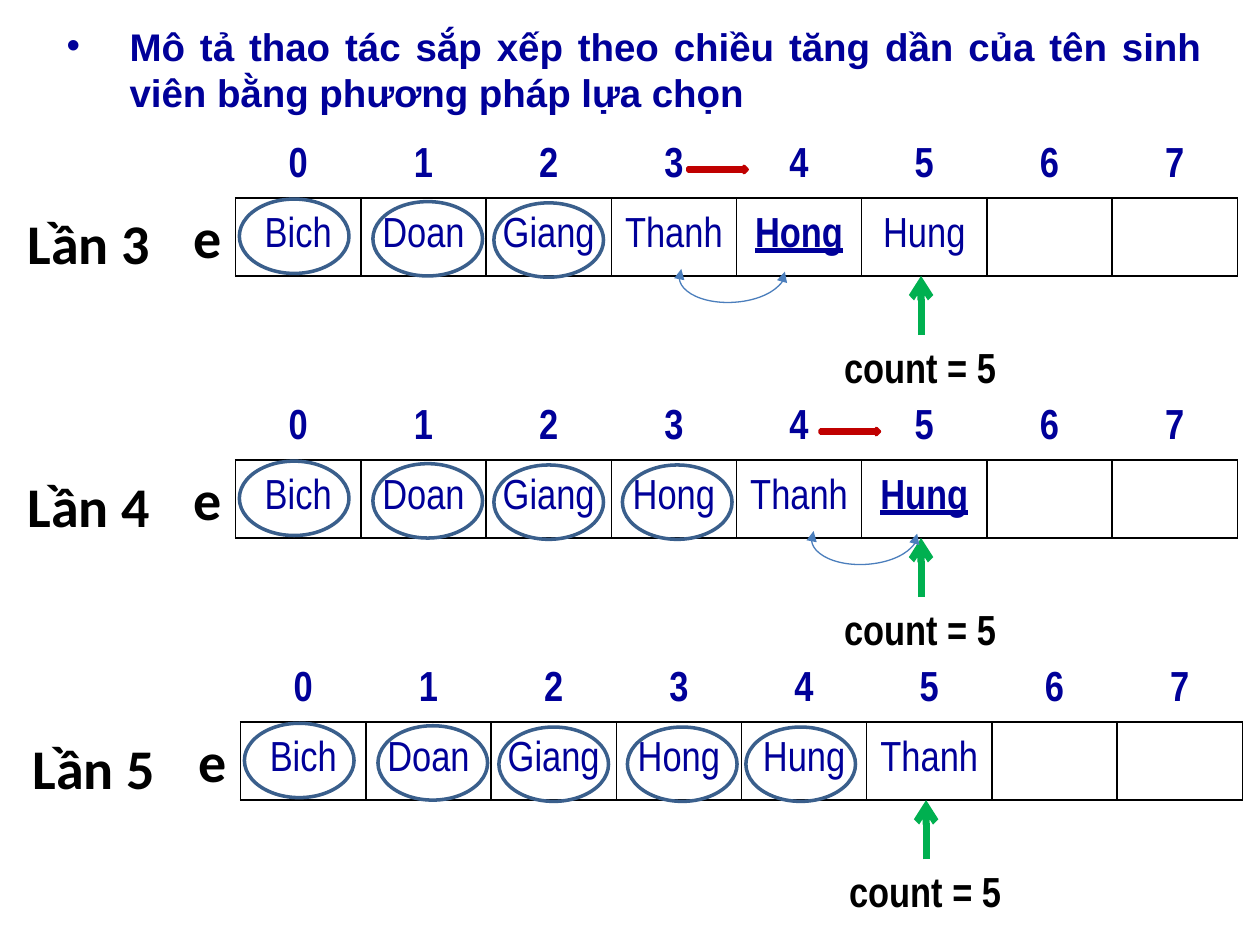
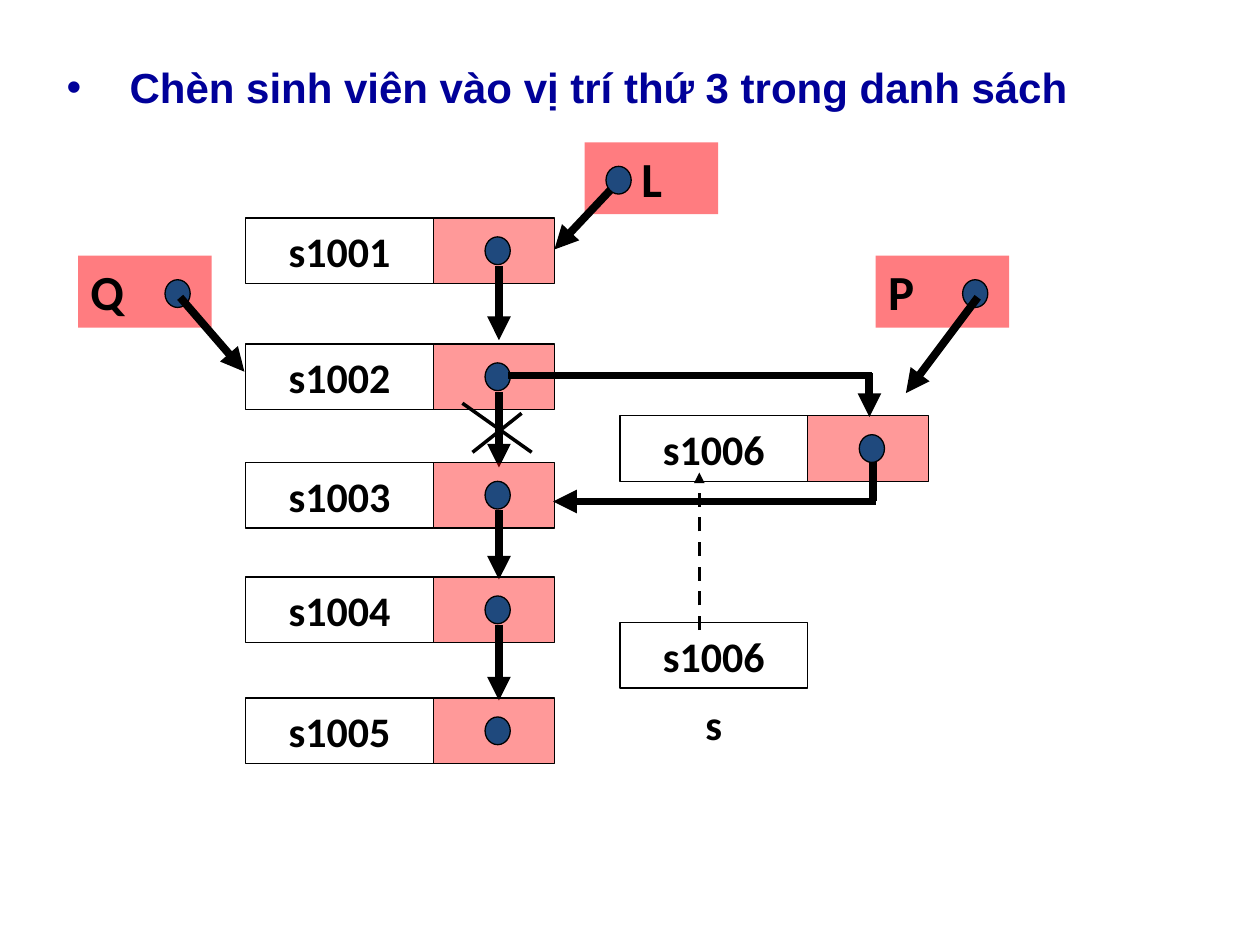
from lxml.etree import SubElement
from pptx import Presentation
from pptx.dml.color import RGBColor
from pptx.enum.dml import MSO_LINE
from pptx.enum.shapes import MSO_CONNECTOR, MSO_SHAPE
from pptx.enum.text import MSO_ANCHOR, PP_ALIGN
from pptx.oxml.ns import qn
from pptx.util import Inches, Pt

BLACK = RGBColor(0x00, 0x00, 0x00)
WHITE = RGBColor(0xFF, 0xFF, 0xFF)
NAVY = RGBColor(0x00, 0x00, 0x99)
GREEN = RGBColor(0x00, 0xB0, 0x50)
CRIMSON = RGBColor(0xC0, 0x00, 0x00)
RED = RGBColor(0xFF, 0x00, 0x00)
PINK = RGBColor(0xFF, 0x7C, 0x80)
DOT_BLUE = RGBColor(0x1F, 0x49, 0x7D)
RING_BLUE = RGBColor(0x3A, 0x5F, 0x8C)
SWAP_BLUE = RGBColor(0x4B, 0x7E, 0xBC)

TITLE = {"name": "Arial", "bold": True}
LABEL = {"name": "Calibri", "size": Pt(32), "bold": True}
COUNT = {"name": "Arial Narrow", "size": Pt(24), "bold": True}
NODE = {"name": "Calibri", "size": Pt(24), "bold": True}
POINTER = {"name": "Calibri", "size": Pt(28), "bold": True}

SLOTS = 8
SLOT_WIDTH = 7.95 / SLOTS
ROW_HEIGHTS = (0.47, 0.62)
RING_OFFSETS = ((0.03, 0.51), (1.09, 0.53), (2.05, 0.54), (3.07, 0.54), (4.01, 0.54))
STAGES = (
    ("Lần 3", 1.87, 3, ("Bich", "Doan", "Giang", "Thanh", "Hong", "Hung")),
    ("Lần 4", 1.87, 4, ("Bich", "Doan", "Giang", "Hong", "Thanh", "Hung")),
    ("Lần 5", 1.91, 5, ("Bich", "Doan", "Giang", "Hong", "Hung", "Thanh")),
)
STUDENTS = (("s1001", 1.73, 0.59), ("s1002", 2.73, 0.6), ("s1003", 3.67, 0.55),
            ("s1004", 4.58, 0.6), ("s1005", 5.54, None))


def inches(*lengths):
    """Turn plain numbers into lengths."""
    return [Inches(length) for length in lengths]


def write(para, text, font, color=BLACK, align=PP_ALIGN.LEFT):
    """Put one formatted run into a paragraph."""
    para.alignment = align
    span = para.add_run()
    span.text = text
    for name, value in font.items():
        setattr(span.font, name, value)
    span.font.color.rgb = color


def add_text(page, at, text, font):
    """Add a wrapped text box."""
    box = page.shapes.add_textbox(*inches(*at))
    box.text_frame.word_wrap = True
    write(box.text_frame.paragraphs[0], text, font)


def add_title(page, at, text, size):
    """Add the bulleted heading that both slides carry."""
    box = page.shapes.add_textbox(*inches(*at))
    box.text_frame.word_wrap = True
    para = box.text_frame.paragraphs[0]
    write(para, text, {**TITLE, "size": Pt(size)}, NAVY, PP_ALIGN.JUSTIFY)
    props = para._p.get_or_add_pPr()
    props.set("marL", str(Inches(0.5)))
    props.set("indent", str(-Inches(0.5)))
    SubElement(props, qn("a:buFont"), typeface="Arial")
    SubElement(props, qn("a:buChar"), char="•")


def add_ends(shape, head, tail):
    """Put arrowheads on the ends of an outline."""
    outline = shape._element.spPr.find(qn("a:ln"))
    for tag, kind in (("a:headEnd", head), ("a:tailEnd", tail)):
        if kind:
            SubElement(outline, qn(tag), type=kind)


def add_line(shapes, start, end, width=4.5, color=BLACK, head=None, tail=None, dash=None):
    """Add a straight line with optional arrowheads."""
    line = shapes.add_connector(MSO_CONNECTOR.STRAIGHT, *inches(*start, *end))
    line.line.color.rgb = color
    line.line.width = Pt(width)
    if dash:
        line.line.dash_style = dash
    add_ends(line, head, tail)
    SubElement(line._element.spPr, qn("a:effectLst"))


def add_shape(shapes, kind, at, fill=None, line=None, width=0.75, opacity=None):
    """Add a preset shape without shadow."""
    shape = shapes.add_shape(kind, *inches(*at))
    shape.shadow.inherit = False
    if fill is None:
        shape.fill.background()
    else:
        shape.fill.solid()
        shape.fill.fore_color.rgb = fill
    if opacity:
        color = shape._element.spPr.find(qn("a:solidFill"))[0]
        SubElement(color, qn("a:alpha"), val=str(opacity * 1000))
    if line is None:
        shape.line.fill.background()
    else:
        shape.line.color.rgb = line
        shape.line.width = Pt(width)
    return shape


def add_borders(cell, sides):
    """Draw thin black borders on the given sides of a cell."""
    props = cell._tc.get_or_add_tcPr()
    for side in sides:
        border = SubElement(props, qn(f"a:ln{side}"), w=str(Pt(1)))
        SubElement(SubElement(border, qn("a:solidFill")), qn("a:srgbClr"), val=str(BLACK))


def add_array(page, left, top, names, chosen):
    """Add the array table: a row of indexes over a row of names."""
    frame = page.shapes.add_table(
        2, SLOTS, *inches(left, top, SLOT_WIDTH * SLOTS, sum(ROW_HEIGHTS)))
    table = frame.table
    table.first_row = table.horz_banding = False
    for row, height in zip(table.rows, ROW_HEIGHTS):
        row.height = Inches(height)
    for slot in range(SLOTS):
        table.columns[slot].width = Inches(SLOT_WIDTH)
        name = names[slot] if slot < len(names) else ""
        picked = slot == chosen
        entries = ((str(slot), COUNT, "B"),
                   (name, {**COUNT, "bold": picked, "underline": picked}, "LRTB"))
        for row, (text, font, sides) in enumerate(entries):
            cell = table.cell(row, slot)
            add_borders(cell, sides)
            cell.fill.solid()
            cell.fill.fore_color.rgb = WHITE
            cell.vertical_anchor = MSO_ANCHOR.MIDDLE
            if text:
                write(cell.text_frame.paragraphs[0], text, font, NAVY, PP_ALIGN.CENTER)


def add_swap(page, left, top):
    """Mark two neighbours that change places."""
    add_shape(page.shapes, MSO_SHAPE.RIGHT_ARROW, (left, top + 0.25, 0.47, 0.05),
              CRIMSON, CRIMSON, 2)
    arc = add_shape(page.shapes, MSO_SHAPE.ARC, (left + 0.13, top + 0.69, 0.44, 0.84),
                    line=SWAP_BLUE)
    arc.adjustments[0] = 162
    arc.adjustments[1] = 59.797
    arc.rotation = 86.7
    add_ends(arc, "triangle", "triangle")


def add_stage(page, top, label, left, done, names):
    """Draw one pass of the selection sort."""
    swapping = done + 1 < len(names)
    add_text(page, (left - 1.75, top + 0.54, 1.23, 0.64), label, LABEL)
    add_array(page, left, top, names, done + 1 if swapping else None)
    add_text(page, (left - 0.43, top + 0.49, 0.35, 0.64), "e", LABEL)
    add_text(page, (left + 4.73, top + 1.59, 1.45, 0.5), "count = 5", COUNT)
    add_line(page.shapes, (left + 5.44, top + 1.59), (left + 5.44, top + 1.12),
             4, GREEN, tail="arrow")
    for across, down in RING_OFFSETS[:done]:
        add_shape(page.shapes, MSO_SHAPE.OVAL, (left + across, top + down, 0.87, 0.59),
                  line=RING_BLUE, width=2)
    if swapping:
        add_swap(page, left + 0.44 + 1.05 * done, top)


def add_dot(shapes, left, top):
    """Add the dot where a link starts."""
    add_shape(shapes, MSO_SHAPE.OVAL, (left, top, 0.2, 0.22), DOT_BLUE, BLACK)


def add_data(shapes, left, top, text, line=BLACK):
    """Add the box that holds a student's code."""
    box = add_shape(shapes, MSO_SHAPE.RECTANGLE, (left, top, 1.49, 0.52), WHITE, line,
                    opacity=38)
    box.text_frame.vertical_anchor = MSO_ANCHOR.MIDDLE
    write(box.text_frame.paragraphs[0], text, NODE, align=PP_ALIGN.CENTER)


def add_node(page, left, top, text, link=None):
    """Add a list node, with a link of the given length to the next one."""
    shapes = page.shapes.add_group_shape().shapes
    add_data(shapes, left, top, text)
    add_shape(shapes, MSO_SHAPE.RECTANGLE, (left + 1.49, top, 0.96, 0.52), RED, BLACK,
              opacity=40)
    add_dot(shapes, left + 1.9, top + 0.15)
    if link:
        start = top + 0.38
        add_line(shapes, (left + 2.01, start), (left + 2.01, start + link), tail="triangle")


def add_pointer(page, left, top, name, start, end, dot=0.69, indent=0.1, dot_above=False):
    """Add a named pointer with its dot and arrow."""
    shapes = page.shapes.add_group_shape().shapes
    box = add_shape(shapes, MSO_SHAPE.RECTANGLE, (left, top, 1.06, 0.57), PINK)
    box.text_frame.margin_left = Inches(indent)
    box.text_frame.vertical_anchor = MSO_ANCHOR.TOP
    write(box.text_frame.paragraphs[0], name, POINTER)
    if dot_above:
        add_line(shapes, start, end, tail="triangle")
    add_dot(shapes, left + dot, top + 0.19)
    if not dot_above:
        add_line(shapes, start, end, tail="triangle")


def build_sort_slide(page):
    """Show three passes of the sort by name."""
    add_title(page, (0.43, 0.13, 9.21, 0.87),
              "Mô tả thao tác sắp xếp theo chiều tăng dần của tên sinh viên "
              "bằng phương pháp lựa chọn", 22)
    for number, stage in enumerate(STAGES):
        add_stage(page, 1.07 + 2.08 * number, *stage)


def build_insert_slide(page):
    """Show a student being inserted into a linked list."""
    shapes = page.shapes
    add_title(page, (0.43, 0.44, 9.21, 0.63),
              "Chèn sinh viên vào vị trí thứ 3 trong danh sách", 24)
    for code, top, link in STUDENTS:
        add_node(page, 1.95, top, code, link)
    add_pointer(page, 4.64, 1.13, "L", (4.89, 1.46), (4.4, 1.98), 0.17, 0.45, True)
    add_pointer(page, 0.62, 2.03, "Q", (1.43, 2.36), (1.94, 2.95))
    add_node(page, 4.92, 3.3, "s1006")
    add_data(shapes, 4.92, 4.94, "s1006")
    add_data(shapes, 4.92, 5.48, "s", None)
    add_line(shapes, (5.55, 5), (5.55, 3.75), 2, tail="triangle", dash=MSO_LINE.DASH)
    add_pointer(page, 6.95, 2.03, "P", (7.76, 2.36), (7.19, 3.12))
    add_line(shapes, (4.22, 3.59), (3.67, 3.2), 2)
    add_line(shapes, (4.14, 3.28), (3.75, 3.59), 2)
    add_line(shapes, (4.03, 2.98), (6.92, 2.98))
    add_line(shapes, (6.9, 2.96), (6.9, 3.31), tail="triangle")
    add_line(shapes, (4.39, 3.98), (6.95, 3.98), head="triangle")
    add_line(shapes, (6.93, 3.98), (6.93, 3.67))


def main():
    """Build and save the deck."""
    deck = Presentation()
    deck.slide_width, deck.slide_height = inches(10, 7.5)
    for build in (build_sort_slide, build_insert_slide):
        build(deck.slides.add_slide(deck.slide_layouts[6]))
    deck.save("out.pptx")


main()
